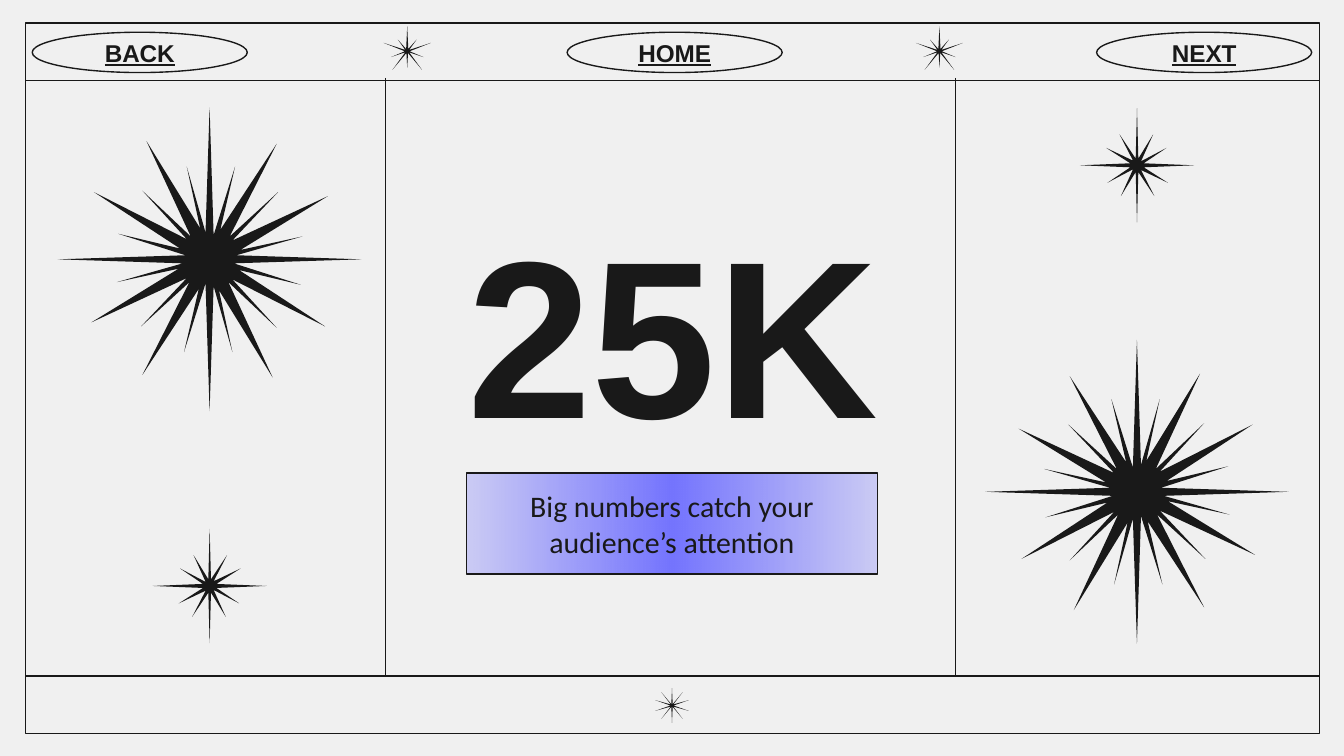
from dataclasses import dataclass

from lxml.etree import SubElement
from pptx import Presentation
from pptx.dml.color import RGBColor
from pptx.enum.shapes import MSO_CONNECTOR, MSO_SHAPE
from pptx.enum.text import MSO_ANCHOR, PP_ALIGN
from pptx.oxml.ns import qn
from pptx.util import Inches, Pt


@dataclass(frozen=True)
class Theme:
    paper: str = "F0F0F0"
    ink: str = "191919"
    glow: str = "7575FF"
    heading: str = "Arial"
    body: str = "Calibri"
    number_size: int = 120
    caption_size: int = 16
    button_size: int = 13
    line: float = 0.75


THEME = Theme()
NUMBER = "25K"
CAPTION = "Big numbers catch your audience’s attention"
BUTTONS = [("BACK", 0.24), ("HOME", 4.22), ("NEXT", 8.16)]
GLOW_STOPS = [(0, 29), (50, 100), (100, 29)]

LEFT, TOP, RIGHT, BOTTOM = 0.19, 0.17, 9.82, 5.46
HEADER, FOOTER = 0.6, 5.03
DIVIDERS = (2.87, 7.11)
RULES = [(LEFT, y, RIGHT, y) for y in (HEADER, FOOTER)]
RULES += [(x, HEADER - 0.02, x, FOOTER) for x in DIVIDERS]


def turned(half):
    return half + [(-x, -y) for x, y in half]


def mirrored(half):
    return half + [(-x, y) for x, y in half[-2:0:-1]]


BURST = turned([
    (0, -113), (-3, -20), (-17, -69), (-7, -23), (-47, -88), (-14, -17),
    (-50, -51), (-17, -15), (-86, -50), (-22, -8), (-68, -19), (-18, -3),
    (-113, 0), (-20, 3), (-69, 17), (-23, 7), (-88, 47), (-17, 14),
    (-51, 50), (-15, 17), (-50, 86), (-8, 22), (-19, 69), (-3, 18)])
STAR = turned([
    (0, -42.5), (-1, -5), (-12, -23), (-3, -3), (-22, -13), (-5, -1.5),
    (-42.5, 0), (-5, 1.5), (-23, 13), (-3, 3.5), (-13, 23), (-1, 5)])
SPARK = mirrored([
    (0, -18.5), (-0.8, -1.5), (-7, -8.5), (-1.5, -0.8), (-17.5, -6),
    (-1.8, 0.2), (-12, 4.5), (-1.5, 1), (-11, 14), (-0.6, 1.5), (0, 12.5)])
FOOT_SPARK = turned([
    (0, -13), (-0.5, -1), (-8, -10), (-1, -0.8), (-12.5, -4),
    (-1.2, 0), (-12.5, 4), (-1, 0.8), (-8, 10), (-0.5, 1)])

STARS = [
    (SPARK, 3.03, 0.38, 1), (SPARK, 6.99, 0.38, 1), (FOOT_SPARK, 5, 5.25, 1),
    (BURST, 1.56, 1.93, 1), (STAR, 1.56, 4.36, 1),
    (BURST, 8.46, 3.66, -1), (STAR, 8.46, 1.23, -1),
]


def color(value):
    return RGBColor.from_string(value)


def outline(sp):
    sp.line.color.rgb = color(THEME.ink)
    sp.line.width = Pt(THEME.line)


def add_shape(s, kind, *box):
    sp = s.shapes.add_shape(kind, *map(Inches, box))
    sp.shadow.inherit = False
    sp.fill.background()
    outline(sp)
    return sp


def add_rule(s, *ends):
    line = s.shapes.add_connector(MSO_CONNECTOR.STRAIGHT, *map(Inches, ends))
    outline(line)
    SubElement(line._element.spPr, qn("a:effectLst"))


def add_star(s, points, cx, cy, flip):
    start, *rest = [(Inches(cx + x / 100), Inches(cy + flip * y / 100)) for x, y in points]
    builder = s.shapes.build_freeform(*start)
    builder.add_line_segments(rest, close=True)
    sp = builder.convert_to_shape()
    sp.shadow.inherit = False
    sp.fill.solid()
    sp.fill.fore_color.rgb = color(THEME.ink)
    sp.line.fill.background()


def write(sp, text, font, size, bold=False, underline=False, anchor=MSO_ANCHOR.MIDDLE):
    tf = sp.text_frame
    tf.word_wrap = True
    tf.vertical_anchor = anchor
    tf.margin_left = tf.margin_right = tf.margin_top = tf.margin_bottom = Inches(0.1)
    p = tf.paragraphs[0]
    p.text = text
    p.alignment = PP_ALIGN.CENTER
    p.font.name, p.font.size = font, Pt(size)
    p.font.bold, p.font.underline = bold, underline
    p.font.color.rgb = color(THEME.ink)


def glow(sp):
    sp.fill.gradient()
    sp.fill.gradient_angle = 180
    stops = next(sp._element.spPr.iter(qn("a:gsLst")))
    for stop in list(stops):
        stops.remove(stop)
    for position, opacity in GLOW_STOPS:
        stop = SubElement(stops, qn("a:gs"), pos=str(position * 1000))
        tint = SubElement(stop, qn("a:srgbClr"), val=THEME.glow)
        SubElement(tint, qn("a:alpha"), val=str(opacity * 1000))


def main():
    prs = Presentation()
    prs.slide_width = Inches(10)
    prs.slide_height = prs.slide_width * 9 // 16
    s = prs.slides.add_slide(prs.slide_layouts[6])
    s.background.fill.solid()
    s.background.fill.fore_color.rgb = color(THEME.paper)

    add_shape(s, MSO_SHAPE.RECTANGLE, LEFT, TOP, RIGHT - LEFT, BOTTOM - TOP)
    for rule in RULES:
        add_rule(s, *rule)
    for star in STARS:
        add_star(s, *star)

    number = s.shapes.add_textbox(*map(Inches, (3.13, 1.35, 3.75, 2)))
    write(number, NUMBER, THEME.heading, THEME.number_size, bold=True, anchor=MSO_ANCHOR.TOP)

    caption = add_shape(s, MSO_SHAPE.RECTANGLE, 3.47, 3.52, 3.06, 0.75)
    glow(caption)
    write(caption, CAPTION, THEME.body, THEME.caption_size)

    for label, x in BUTTONS:
        button = add_shape(s, MSO_SHAPE.OVAL, x, 0.24, 1.6, 0.3)
        write(button, label, THEME.heading, THEME.button_size, bold=True, underline=True)

    prs.save("out.pptx")


if __name__ == "__main__":
    main()
